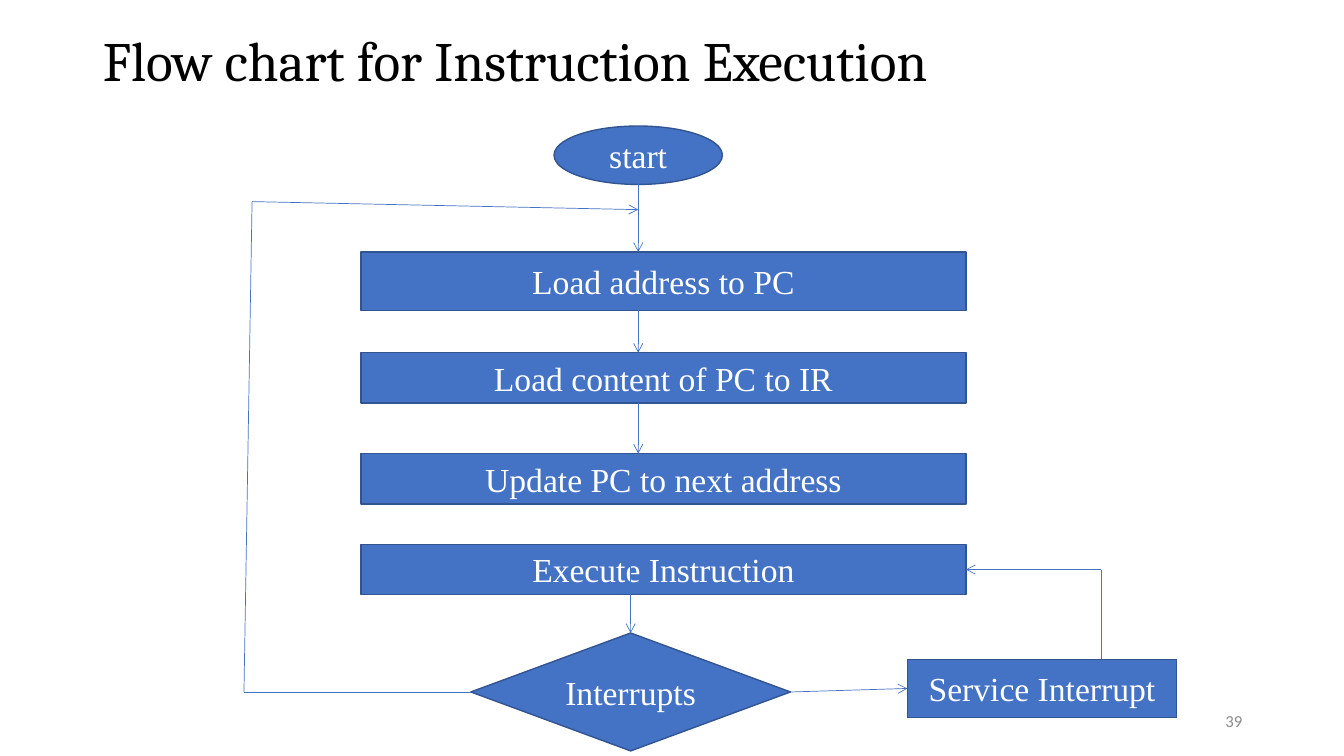
from dataclasses import dataclass

from pptx import Presentation
from pptx.dml.color import RGBColor
from pptx.enum import shapes as kinds, text as layout
from pptx.oxml.ns import qn
from pptx.util import Inches, Pt


@dataclass(frozen=True)
class Theme:
    fill: str = "4472C4"
    edge: str = "325491"
    on_fill: str = "FFFFFF"
    ink: str = "000000"
    muted: str = "8C8C8C"
    title_font: str = "Cambria"
    step_font: str = "Times New Roman"
    number_font: str = "Calibri"
    title_size: float = 39.6
    step_size: float = 24
    number_size: float = 12
    edge_width: float = 1
    arrow_width: float = 0.5


THEME = Theme()
PRESET = kinds.MSO_SHAPE
ALIGN = layout.PP_ALIGN


def write(frame, words, *, font, size, color, align=ALIGN.LEFT, spacing=None):
    frame.word_wrap = True
    frame.auto_size = layout.MSO_AUTO_SIZE.NONE
    frame.vertical_anchor = layout.MSO_ANCHOR.MIDDLE
    paragraph = frame.paragraphs[0]
    paragraph.alignment = align
    paragraph.line_spacing = spacing
    run = paragraph.add_run()
    run.text = words
    run.font.name = font
    run.font.size = Pt(size)
    run.font.color.rgb = RGBColor.from_string(color)


def add_step(slide, words, left, top, width, height, preset=PRESET.RECTANGLE):
    step = slide.shapes.add_shape(
        preset, Inches(left), Inches(top), Inches(width), Inches(height))
    step.shadow.inherit = False
    step.fill.solid()
    step.fill.fore_color.rgb = RGBColor.from_string(THEME.fill)
    step.line.color.rgb = RGBColor.from_string(THEME.edge)
    step.line.width = Pt(THEME.edge_width)
    write(step.text_frame, words, font=THEME.step_font, size=THEME.step_size,
          color=THEME.on_fill, align=ALIGN.CENTER)


def add_route(slide, *points):
    """Join the points with straight lines and put an arrowhead on the last."""
    for start, end in zip(points, points[1:]):
        leg = slide.shapes.add_connector(
            kinds.MSO_CONNECTOR.STRAIGHT, *map(Inches, start + end))
        leg.line.color.rgb = RGBColor.from_string(THEME.fill)
        leg.line.width = Pt(THEME.arrow_width)
        properties = leg._element.spPr
        properties.append(properties.makeelement(qn("a:effectLst"), {}))
    outline = leg.line._get_or_add_ln()
    outline.append(outline.makeelement(qn("a:tailEnd"), {"type": "arrow"}))


def add_title(slide, words, left, top, width, height):
    title = slide.shapes.title
    title.left, title.top = Inches(left), Inches(top)
    title.width, title.height = Inches(width), Inches(height)
    write(title.text_frame, words, font=THEME.title_font,
          size=THEME.title_size, color=THEME.ink, spacing=0.9)


def add_page_number(slide, number, left, top, width, height):
    box = slide.shapes.add_textbox(
        Inches(left), Inches(top), Inches(width), Inches(height))
    write(box.text_frame, number, font=THEME.number_font,
          size=THEME.number_size, color=THEME.muted, align=ALIGN.RIGHT)


def add_main_sequence(slide, left, top, width):
    """Start oval and the four steps below it."""
    axis = left + 2.75
    start_width, start_height = 1.67, 0.58
    add_step(slide, "start", axis - start_width / 2, top,
             start_width, start_height, PRESET.OVAL)
    steps = [
        ("Load address to PC", 1.25, 0.58),
        ("Load content of PC to IR", 2.25, 0.5),
        ("Update PC to next address", 3.25, 0.5),
        ("Execute Instruction", 4.15, 0.5),
    ]
    for words, offset, height in steps:
        add_step(slide, words, left, top + offset, width, height)

    bottoms = [start_height] + [offset + height for _, offset, height in steps]
    for bottom, (_, offset, _) in zip(bottoms, steps[:3]):
        add_route(slide, (axis, top + bottom), (axis, top + offset))


def add_interrupt_check(slide, left, top, width, height):
    """Decision, service step, and the routes back to the main sequence."""
    middle, right, center = top + height / 2, left + width, left + width / 2
    service_left, service_top = right + 1.16, top + 0.26
    service_width, service_height = 2.67, 0.58
    add_step(slide, "Interrupts", left, top, width, height,
             PRESET.FLOWCHART_DECISION)
    add_step(slide, "Service Interrupt", service_left, service_top,
             service_width, service_height)

    add_route(slide, (center, top - 0.75), (center, top))
    add_route(slide, (right, middle),
              (service_left, service_top + service_height / 2))
    add_route(slide, (left, middle), (left - 2.25, middle),
              (left - 2.17, top - 4.28), (left + 1.66, top - 4.2))
    return_x, return_y = service_left + 1.92, top - 0.63
    add_route(slide, (return_x, service_top), (return_x, return_y),
              (service_left + 0.58, return_y))


def main():
    deck = Presentation()
    deck.slide_width, deck.slide_height = Inches(13.33), Inches(7.5)
    slide = deck.slides.add_slide(deck.slide_layouts.get_by_name("Title Only"))
    add_main_sequence(slide, 3.58, 1.25, 6)
    add_interrupt_check(slide, 4.67, 6.28, 3.17, 1.17)
    add_title(slide, "Flow chart for Instruction Execution",
              0.92, 0.4, 9.84, 0.46)
    add_page_number(slide, "39", 9.42, 6.95, 3, 0.4)
    deck.save("out.pptx")


if __name__ == "__main__":
    main()
